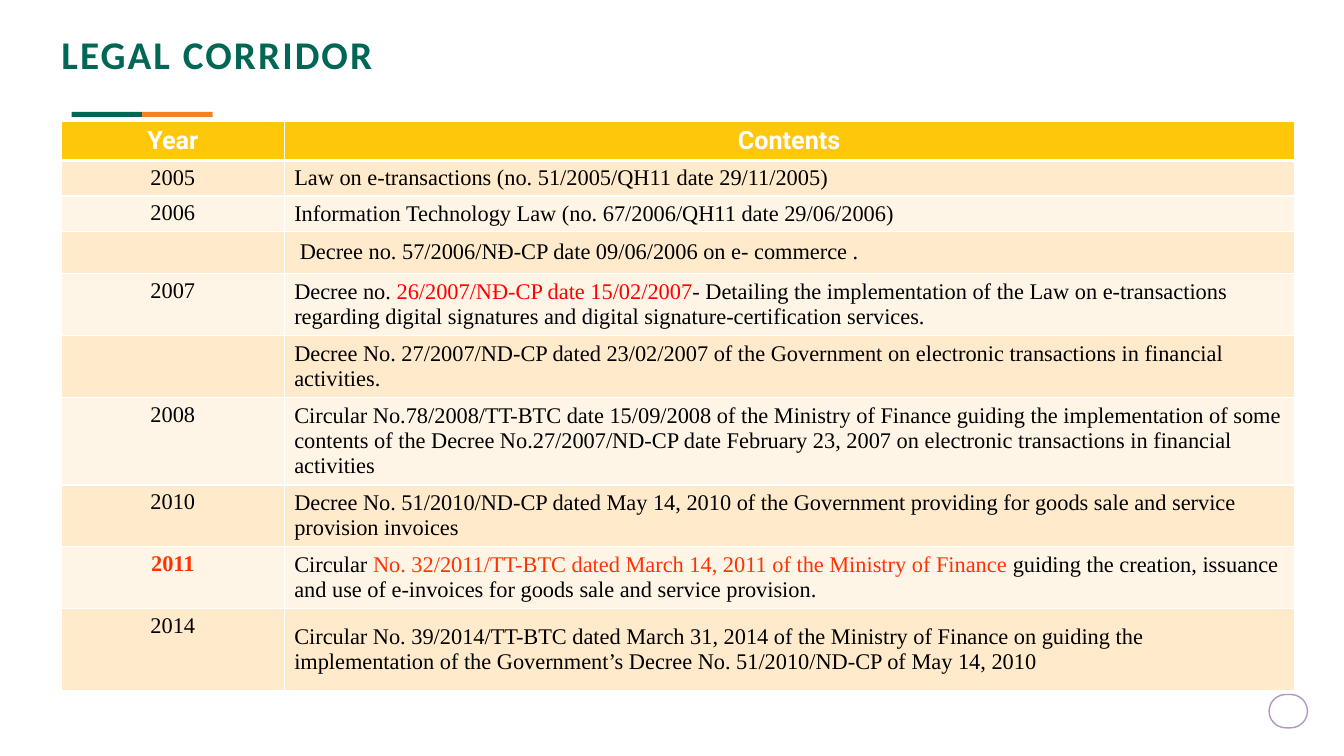
"""Build the legal corridor slide: heading, accent bars and a table of laws by year."""
from typing import NamedTuple

from lxml import etree
from pptx import Presentation
from pptx.dml.color import RGBColor
from pptx.enum.shapes import MSO_SHAPE
from pptx.enum.text import MSO_ANCHOR, MSO_AUTO_SIZE, PP_ALIGN
from pptx.oxml.ns import qn
from pptx.util import Pt

RECT = MSO_SHAPE.RECTANGLE
ROUND = MSO_SHAPE.ROUNDED_RECTANGLE
TOP = MSO_ANCHOR.TOP
MIDDLE = MSO_ANCHOR.MIDDLE
LEFT = PP_ALIGN.LEFT
CENTER = PP_ALIGN.CENTER
FIXED = MSO_AUTO_SIZE.NONE

GREEN, ORANGE, GOLD, WHITE = "016755", "F48220", "FEC709", "FFFFFF"
BLACK, RED, SCARLET, MAUVE = "000000", "FF0000", "FF3300", "B298BD"
BANDS = ("FFEBCC", "FFF5E7")
SIDES = ("L", "R", "T", "B")


class Face(NamedTuple):
    font: str
    size: float
    bold: bool


class Span(NamedTuple):
    text: str
    color: str = BLACK


class Law(NamedTuple):
    year: Span
    spans: tuple[Span, ...]
    height: float
    anchor: MSO_ANCHOR = MIDDLE
    indent: float = 0


class Bar(NamedTuple):
    left: float
    color: str


TITLE = Face("Calibri", 28, True)
HEAD = Face("Roboto", 18, True)
BODY = Face("Times New Roman", 16, False)
STRONG = BODY._replace(bold=True)

BARS = (Bar(51.1, GREEN), Bar(101.5, ORANGE))

LAWS = (
    Law(Span("2005"), (Span("Law on e-transactions (no. 51/2005/QH11 date 29/11/2005)"),), 25.2, TOP),
    Law(Span("2006"), (Span("Information Technology Law (no. 67/2006/QH11 date 29/06/2006)"),), 25.2),
    Law(Span(""), (Span("Decree no. 57/2006/NĐ-CP date 09/06/2006 on e- commerce ."),), 30.2, MIDDLE, 4),
    Law(Span("2007"), (
        Span("Decree no. "),
        Span("26/2007/NĐ-CP date 15/02/2007", RED),
        Span("- Detailing the implementation of the Law on e-transactions regarding "
             "digital signatures and digital signature-certification services."),
    ), 44.6),
    Law(Span(""), (Span("Decree No. 27/2007/ND-CP dated 23/02/2007 of the Government on "
                        "electronic transactions in financial activities."),), 43.9),
    Law(Span("2008"), (Span("Circular No.78/2008/TT-BTC date 15/09/2008 of the Ministry of Finance guiding "
                            "the implementation of some contents of the Decree No.27/2007/ND-CP date "
                            "February 23, 2007 on electronic transactions in financial activities"),), 62.6),
    Law(Span("2010"), (Span("Decree No. 51/2010/ND-CP dated May 14, 2010 of the Government providing "
                            "for goods sale and service provision invoices"),), 43.9),
    Law(Span("2011", SCARLET), (
        Span("Circular "),
        Span("No. 32/2011/TT-BTC dated March 14, 2011 of the Ministry of Finance ", SCARLET),
        Span("guiding the creation, issuance and use of e-invoices for goods sale and service provision."),
    ), 44.6),
    Law(Span("2014"), (Span("Circular No. 39/2014/TT-BTC dated March 31, 2014 of the Ministry of Finance on "
                            "guiding the implementation of the Government’s Decree No. 51/2010/ND-CP "
                            "of May 14, 2010"),), 58.3),
)


def paint(target, color: str) -> None:
    """Give a fill or a font a solid colour."""
    if hasattr(target, "solid"):
        target.solid()
        target = target.fore_color
    else:
        target = target.color
    target.rgb = RGBColor.from_string(color)


def add_run(para, span: Span, face: Face):
    """Add one styled run to a paragraph."""
    run = para.add_run()
    run.text = span.text
    run.font.name, run.font.size, run.font.bold = face.font, Pt(face.size), face.bold
    paint(run.font, span.color)
    return run


def edge(cell, side: str, width: float) -> None:
    """Draw one white border of a cell."""
    props = cell._tc.get_or_add_tcPr()
    line = etree.SubElement(props, qn(f"a:ln{side}"), w=str(Pt(width)))
    fill = etree.SubElement(line, qn("a:solidFill"))
    etree.SubElement(fill, qn("a:srgbClr"), val=WHITE)


def fill_cell(cell, spans: tuple[Span, ...], face: Face, color: str, align: PP_ALIGN,
              anchor: MSO_ANCHOR = TOP, indent: float = 0, thick: str = "") -> None:
    """Write and style one table cell, with a heavy border on the thick side."""
    for side in SIDES:
        edge(cell, side, 3 if side == thick else 1)
    paint(cell.fill, color)
    cell.margin_left, cell.margin_right = Pt(7.2 + indent), Pt(7.2)
    cell.margin_top = cell.margin_bottom = Pt(3.6)
    cell.vertical_anchor = anchor
    para = cell.text_frame.paragraphs[0]
    para.alignment = align
    for span in spans:
        if span.text:
            add_run(para, span, face)


def add_title(slide) -> None:
    """Place and fill the title."""
    title = slide.shapes.title
    title.left, title.top, title.width, title.height = Pt(43.9), Pt(25.2), Pt(859), Pt(23.8)
    frame = title.text_frame
    frame.margin_left = frame.margin_top = frame.margin_right = frame.margin_bottom = 0
    frame.word_wrap, frame.auto_size, frame.vertical_anchor = True, FIXED, TOP
    para = frame.paragraphs[0]
    para.alignment, para.line_spacing = LEFT, 0.9
    run = add_run(para, Span("LEGAL CORRIDOR", GREEN), TITLE)
    run.font._element.set("spc", "150")


def add_marks(slide) -> None:
    """Draw the two accent bars and the page badge."""
    for bar in BARS:
        shape = slide.shapes.add_shape(RECT, Pt(bar.left), Pt(79.9), Pt(50.4), Pt(3.6))
        shape.shadow.inherit = False
        paint(shape.fill, bar.color)
        shape.line.fill.background()
    badge = slide.shapes.add_shape(ROUND, Pt(906.5), Pt(496.1), Pt(27.4), Pt(23.8))
    badge.shadow.inherit = False
    badge.adjustments[0] = 0.5
    badge.fill.background()
    paint(badge.line.fill, MAUVE)
    badge.line.width = Pt(1)


def add_laws(slide) -> None:
    """Draw the table of laws."""
    table = slide.shapes.add_table(len(LAWS) + 1, 2, Pt(43.9), Pt(86.4), Pt(880.5), Pt(406.6)).table
    table.columns[0].width, table.columns[1].width = Pt(159.1), Pt(721.4)
    table.rows[0].height = Pt(28.1)
    for col, label in enumerate(("Year", "Contents")):
        fill_cell(table.cell(0, col), (Span(label, WHITE),), HEAD, GOLD, CENTER, thick="B")
    for row, law in enumerate(LAWS, 1):
        table.rows[row].height = Pt(law.height)
        band = BANDS[(row - 1) % 2]
        thick = "T" if row == 1 else ""
        face = BODY if law.year.color == BLACK else STRONG
        fill_cell(table.cell(row, 0), (law.year,), face, band, CENTER, thick=thick)
        fill_cell(table.cell(row, 1), law.spans, BODY, band, LEFT, law.anchor, law.indent, thick)


def main() -> None:
    """Build and save the slide."""
    deck = Presentation()
    deck.slide_width, deck.slide_height = Pt(960), Pt(540)
    slide = deck.slides.add_slide(deck.slide_layouts[5])
    add_marks(slide)
    add_title(slide)
    add_laws(slide)
    deck.save("out.pptx")


if __name__ == "__main__":
    main()
